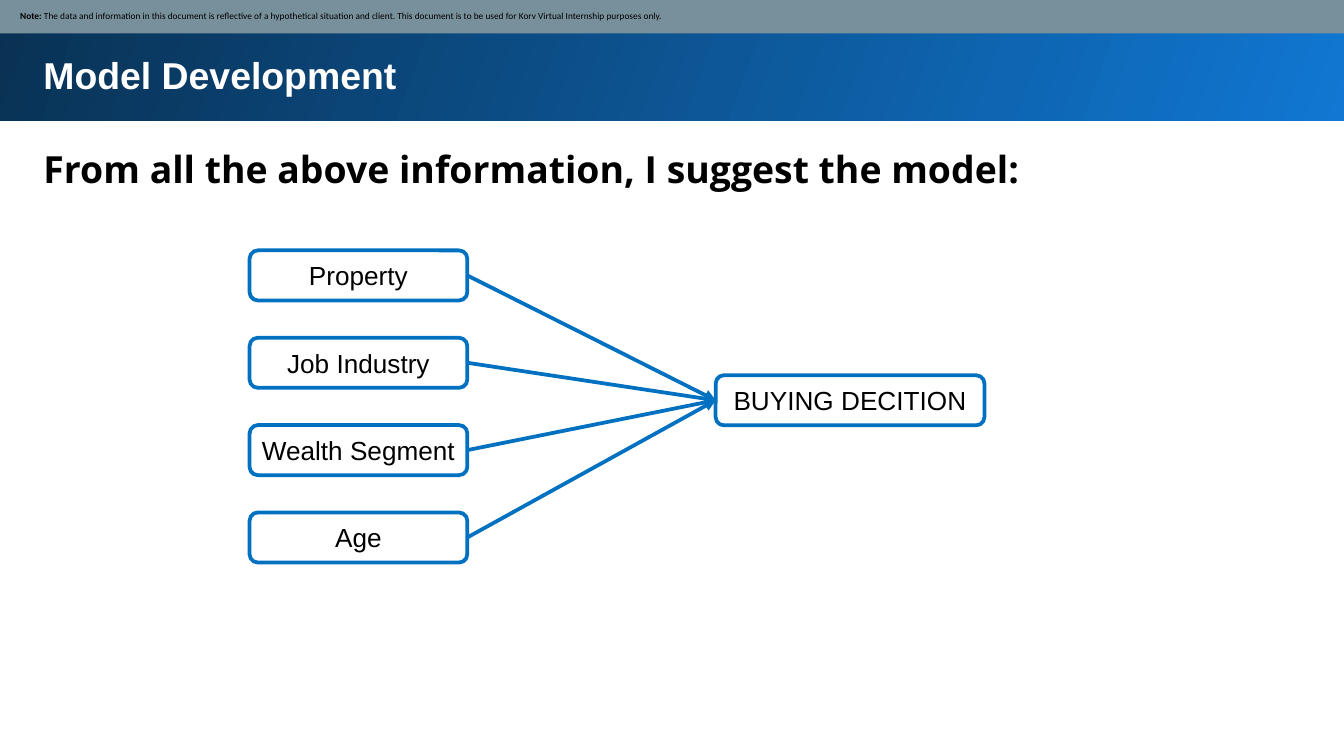
import pptx
import pptx.util
import pptx.dml.color
import pptx.enum.shapes
import pptx.enum.text
import lxml.etree

RGB = pptx.dml.color.RGBColor.from_string
KIND = pptx.enum.shapes.MSO_SHAPE
ALIGN = pptx.enum.text.PP_ALIGN
MID = pptx.enum.text.MSO_ANCHOR.MIDDLE
TOP = pptx.enum.text.MSO_ANCHOR.TOP

theme = {
    "light": RGB("1077D2"), "dark": RGB("093153"), "slate": RGB("78909C"),
    "blue": RGB("0070C0"), "white": RGB("FFFFFF"), "black": RGB("000000"),
    "head": 20, "label": 14, "note": 5, "line": 2,
}

deck = pptx.Presentation()
deck.slide_width = pptx.util.Inches(10)
deck.slide_height = deck.slide_width * 9 // 16
slide = deck.slides.add_slide(deck.slide_layouts[6])
cell = deck.slide_width // 100  # grid: 100 columns, cells are square


def panel(kind, left, top, wide, high):
    """Add a plain shape, or a text box if kind is None; lengths in grid cells."""
    box = [round(n * cell) for n in (left, top, wide, high)]
    if kind is None:
        return slide.shapes.add_textbox(*box)
    shape = slide.shapes.add_shape(kind, *box)
    shape.shadow.inherit = False
    shape.line.fill.background()
    return shape


def write(shape, runs, size, font, color, pad, anchor=MID, align=ALIGN.LEFT):
    """Fill a shape with one paragraph of (text, bold) runs."""
    frame = shape.text_frame
    frame.word_wrap = True
    frame.vertical_anchor = anchor
    frame.margin_left = frame.margin_right = round(pad * cell)
    frame.margin_top = frame.margin_bottom = round(pad * cell)
    para = frame.paragraphs[0]
    para.alignment = align
    for text, bold in runs:
        run = para.add_run()
        run.text = text
        run.font.size = pptx.util.Pt(size)
        run.font.name = font
        run.font.bold = bold
        run.font.color.rgb = color
    return para


# Title band
band = panel(KIND.RECTANGLE, -0.2, -0.2, 100.5, 9.2)
band.fill.gradient()
band.fill.gradient_angle = 160
for stop, tone in zip(band.fill.gradient_stops, ("light", "dark")):
    stop.color.rgb = theme[tone]
title = panel(None, 2.25, 2.9, 93.7, 5.1)
write(title, [("Model Development", True)], theme["head"], "Arial",
      theme["white"], 1, TOP)

# Lead sentence
lead = panel(None, 2.25, 9.4, 93.7, 5.6)
para = write(lead, [("From all the above information, I suggest the model:", True)],
             theme["head"], "Open Sans", theme["black"], 1, TOP)
para.line_spacing = 1.15

# Note strip
strip = panel(KIND.RECTANGLE, -0.1, -0.1, 100.3, 2.6)
strip.fill.solid()
strip.fill.fore_color.rgb = theme["slate"]
write(strip, [
    ("Note: ", True),
    ("The data and information in this document is reflective of a hypothetical "
     "situation and client. This document is to be used for Korv Virtual "
     "Internship purposes only.", False),
], theme["note"], "Calibri", theme["black"], 0.5)
strip.text_frame.margin_left = round(1.6 * cell)

# Model boxes: the outcome first, then one factor per row
factors = ["Property", "Job Industry", "Wealth Segment", "Age"]
places = [("BUYING DECITION", 53.25, 27.92, 20)]
places += [(name, 18.57, 18.63 + 6.5 * row, 16.2) for row, name in enumerate(factors)]
boxes = []
for name, left, top, wide in places:
    box = panel(KIND.ROUNDED_RECTANGLE, left, top, wide, 3.73)
    box.fill.solid()
    box.fill.fore_color.rgb = theme["white"]
    box.line.color.rgb = theme["blue"]
    box.line.width = pptx.util.Pt(theme["line"])
    write(box, [(name, False)], theme["label"], "Arial", theme["black"], 0.5,
          align=ALIGN.CENTER)
    boxes.append(box)

# Arrows from each factor to the outcome
goal, *causes = boxes
ns = "{http://schemas.openxmlformats.org/drawingml/2006/main}"
for cause in causes:
    link = slide.shapes.add_connector(pptx.enum.shapes.MSO_CONNECTOR.STRAIGHT, 0, 0, 0, 0)
    link.begin_connect(cause, 3)
    link.end_connect(goal, 1)
    link.line.color.rgb = theme["blue"]
    link.line.width = pptx.util.Pt(theme["line"])
    lxml.etree.SubElement(link.line._get_or_add_ln(), ns + "tailEnd", type="triangle")
    lxml.etree.SubElement(link._element.spPr, ns + "effectLst")

deck.save("out.pptx")
